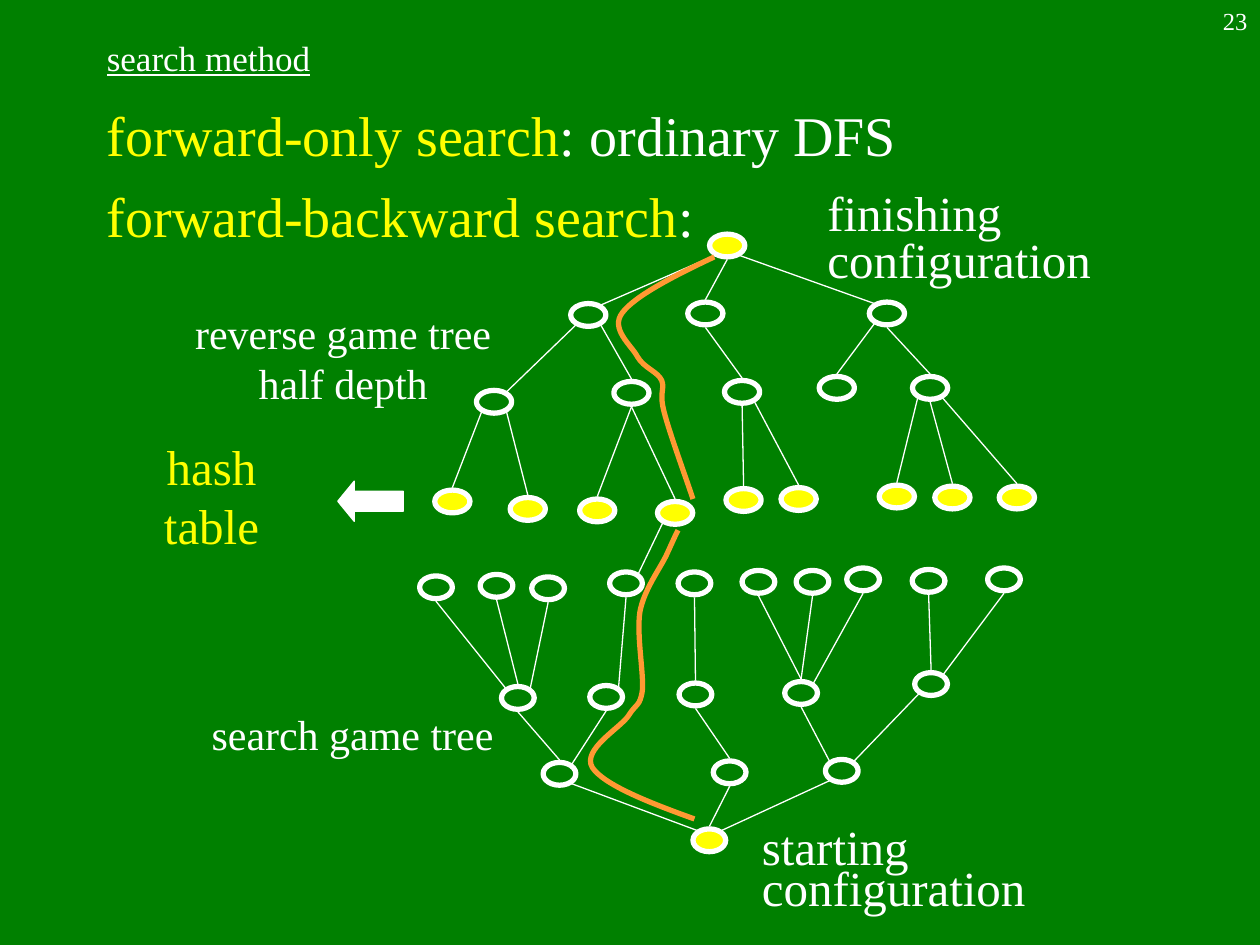
from pptx import Presentation
from pptx.dml.color import RGBColor
from pptx.enum import shapes as sh, text as tx
from pptx.oxml.ns import qn
from pptx.util import Cm, Pt

# Content; all lengths in cm
WHITE, YELLOW, GREEN, ORANGE = "FFFFFF", "FFFF00", "008000", "FF9933"
FONT = "Times New Roman"
MID, TOP = tx.MSO_ANCHOR.MIDDLE, tx.MSO_ANCHOR.TOP
LEFT, MIDDLE, RIGHT = tx.PP_ALIGN.LEFT, tx.PP_ALIGN.CENTER, tx.PP_ALIGN.RIGHT
TITLE = "search method"
BODY = [("forward-only search", ": ordinary DFS"), ("forward-backward search", ":")]

# Box, lines, size, colour, alignment, line spacing
LABELS = [
    ((16.43, 3.78, 5.82, 2.16), "finishing\nconfiguration", 28, WHITE, LEFT, 0.8),
    ((2.03, 9.27, 4.47, 1.45), "hash table", 28, YELLOW, MIDDLE, 1.0),
    ((3.68, 6.07, 6.48, 2.29), "reverse game tree\nhalf depth", 24, WHITE, MIDDLE, 1.0),
    ((15.11, 16.64, 5.82, 1.93), "starting\nconfiguration", 28, WHITE, LEFT, 0.7),
    ((4.01, 14.15, 6.2, 1.27), "search game tree", 24, WHITE, MIDDLE, 1.0),
]

# Node: centre x, centre y, side of parent, side of node (-1, 0, 1), children
REVERSE = (14.66, 4.95, 0, 0, [
    (11.86, 6.35, -1, 1, [
        (9.96, 8.1, -1, 1, [(9.12, 10.11, -1, 0, []), (10.64, 10.26, 1, 0, [])]),
        (12.73, 7.92, 1, 0, [(12.04, 10.29, 0, 0, []), (13.61, 10.34, 0, 0, [])])]),
    (14.22, 6.32, 0, 0, [
        (14.96, 7.9, 0, 0, [(14.99, 10.08, 0, 0, []), (16.1, 10.06, 1, 0, [])])]),
    (17.88, 6.32, 1, -1, [
        (16.87, 7.82, -1, 0, []),
        (18.75, 7.82, 0, 0, [(18.08, 10.01, -1, 0, []), (19.2, 10.03, 0, 0, []),
                             (20.5, 10.03, 1, 0, [])])])])
SEARCH = (14.3, 16.94, 0, 0, [
    (11.28, 15.6, -1, 1, [
        (10.44, 14.07, 0, 0, [(8.79, 11.84, -1, 0, []), (10.01, 11.81, 0, 0, []),
                              (11.05, 11.86, 1, 0, [])]),
        (12.22, 14.05, 1, 0, [(12.62, 11.76, 1, 0, [])])]),
    (14.71, 15.57, 0, 0, [(14.02, 14, 0, 0, [(14, 11.76, 0, 0, [])])]),
    (16.97, 15.54, 1, -1, [
        (16.15, 13.97, -1, 0, [(15.29, 11.73, 0, 0, []), (16.38, 11.73, 0, 0, []),
                               (17.4, 11.68, 1, 0, [])]),
        (18.77, 13.79, 1, -1, [(18.72, 11.71, 0, 0, []), (20.24, 11.68, 1, 0, [])])])])
YELLOW_ROW = 10  # leaves of the reverse tree that go to the hash table
JOIN = (12.62, 11.76), (13.61, 10.34)

# Bezier routes: start, then two handles and an end for each part
ROUTES = [
    [(14, 16.51), (13.08, 16.18), (12.17, 15.82), (11.94, 15.47),
     (11.73, 15.11), (12.5, 14.68), (12.67, 14.43),
     (12.83, 14.17), (12.9, 14.25), (12.95, 13.92),
     (12.98, 13.56), (12.83, 12.8), (12.9, 12.34),
     (12.98, 11.89), (13.31, 11.46), (13.44, 11.18),
     (13.56, 10.92), (13.61, 10.8), (13.67, 10.69)],
    [(14.4, 5.18), (13.59, 5.56), (12.8, 5.97), (12.55, 6.3),
     (12.29, 6.63), (12.73, 6.96), (12.85, 7.19),
     (12.98, 7.42), (13.26, 7.49), (13.34, 7.67),
     (13.41, 7.85), (13.28, 7.9), (13.39, 8.31),
     (13.49, 8.71), (13.87, 9.75), (13.97, 10.06)],
]


def rgb(code):
    return RGBColor.from_string(code)


def style(font, size, color):
    font.name, font.size = FONT, Pt(size)
    font.color.rgb = rgb(color)


def paint(shape, fill, line, width):
    shape.shadow.inherit = False
    if fill:
        shape.fill.solid()
        shape.fill.fore_color.rgb = rgb(fill)
    else:
        shape.fill.background()
    shape.line.color.rgb = rgb(line)
    shape.line.width = Pt(width)


def place(shape, box):
    shape.left, shape.top, shape.width, shape.height = map(Cm, box)


def label(slide, box, words, size, color, align, space=1.0, anchor=MID):
    frame = slide.shapes.add_textbox(*map(Cm, box)).text_frame
    frame.text = words
    frame.word_wrap, frame.vertical_anchor = False, anchor
    frame.auto_size = tx.MSO_AUTO_SIZE.SHAPE_TO_FIT_TEXT
    for par in frame.paragraphs:
        par.alignment, par.line_spacing = align, space
        style(par.runs[0].font, size, color)


def port(spot, side, way):
    """Point just off a node's rim; way is 1 below it and -1 above it."""
    return spot[0] + 0.25 * side, spot[1] + way * (0.2 if side else 0.28)


def link(slide, start, end):
    line = slide.shapes.add_connector(sh.MSO_CONNECTOR.STRAIGHT, *map(Cm, start + end))
    line.line.color.rgb = rgb(WHITE)
    line.line.width = Pt(0.75)
    props = line._element.spPr
    props.append(props.makeelement(qn("a:effectLst"), {}))


def grow(slide, node, way, width, root=True):
    x, y, _, _, kids = node
    high = 0.46
    oval = slide.shapes.add_shape(sh.MSO_SHAPE.OVAL, Cm(x - width / 2), Cm(y - high / 2),
                                  Cm(width), Cm(high))
    full = root or (way == 1 and y > YELLOW_ROW)
    paint(oval, YELLOW if full else None, WHITE, 3)
    for kid in kids:
        link(slide, port((x, y), kid[2], way), port(kid[:2], kid[3], -way))
        grow(slide, kid, way, width, False)


def route(slide, spots):
    spots = [(Cm(x), Cm(y)) for x, y in spots]
    pen = slide.shapes.build_freeform(*spots[0])
    pen.add_line_segments(spots[1:], close=False)
    shape = pen.convert_to_shape()
    paint(shape, None, ORANGE, 3)
    # Turn each three straight steps into one cubic curve
    steps = list(shape._element.iter(qn("a:lnTo")))
    for i in range(0, len(steps), 3):
        curve = steps[i].makeelement(qn("a:cubicBezTo"), {})
        steps[i].addprevious(curve)
        for step in steps[i:i + 3]:
            curve.append(step[0])
            step.getparent().remove(step)


def main():
    deck = Presentation()
    deck.slide_width, deck.slide_height = Cm(25.4), Cm(19.05)
    slide = deck.slides.add_slide(deck.slide_layouts[1])
    slide.background.fill.solid()
    slide.background.fill.fore_color.rgb = rgb(GREEN)

    # Title
    title = slide.shapes.title
    place(title, (1.9, 0.84, 16.31, 0.64))
    title.text_frame.text = TITLE
    title.text_frame.auto_size = tx.MSO_AUTO_SIZE.NONE
    title.text_frame.vertical_anchor = MID
    head = title.text_frame.paragraphs[0]
    head.alignment = LEFT
    style(head.runs[0].font, 20, WHITE)
    head.runs[0].font.underline = True

    # Search kinds
    body = slide.placeholders[1]
    place(body, (1.9, 1.9, 22.66, 15.67))
    frame = body.text_frame
    frame.auto_size = tx.MSO_AUTO_SIZE.NONE
    for i, parts in enumerate(BODY):
        par = frame.add_paragraph() if i else frame.paragraphs[0]
        props = par._p.get_or_add_pPr()
        props.append(props.makeelement(qn("a:buNone"), {}))
        par.space_before = Pt(8 if i else 0)
        for words, color in zip(parts, (YELLOW, WHITE)):
            run = par.add_run()
            run.text = words
            style(run.font, 32, color)

    # Trees and the link between them
    grow(slide, REVERSE, 1, 0.71)
    grow(slide, SEARCH, -1, 0.66)
    link(slide, port(JOIN[0], 1, -1), port(JOIN[1], -1, 1))
    for spots in ROUTES:
        route(slide, spots)

    # Labels, arrow and page number
    for item in LABELS:
        label(slide, *item)
    arrow = slide.shapes.add_shape(sh.MSO_SHAPE.LEFT_ARROW, *map(Cm, (6.81, 9.7, 1.32, 0.81)))
    arrow.adjustments[1] = 0.41
    paint(arrow, WHITE, WHITE, 0.75)
    label(slide, (20.12, 0, 5.28, 1.27), "23", 14, WHITE, RIGHT, anchor=TOP)
    deck.save("out.pptx")


if __name__ == "__main__":
    main()
